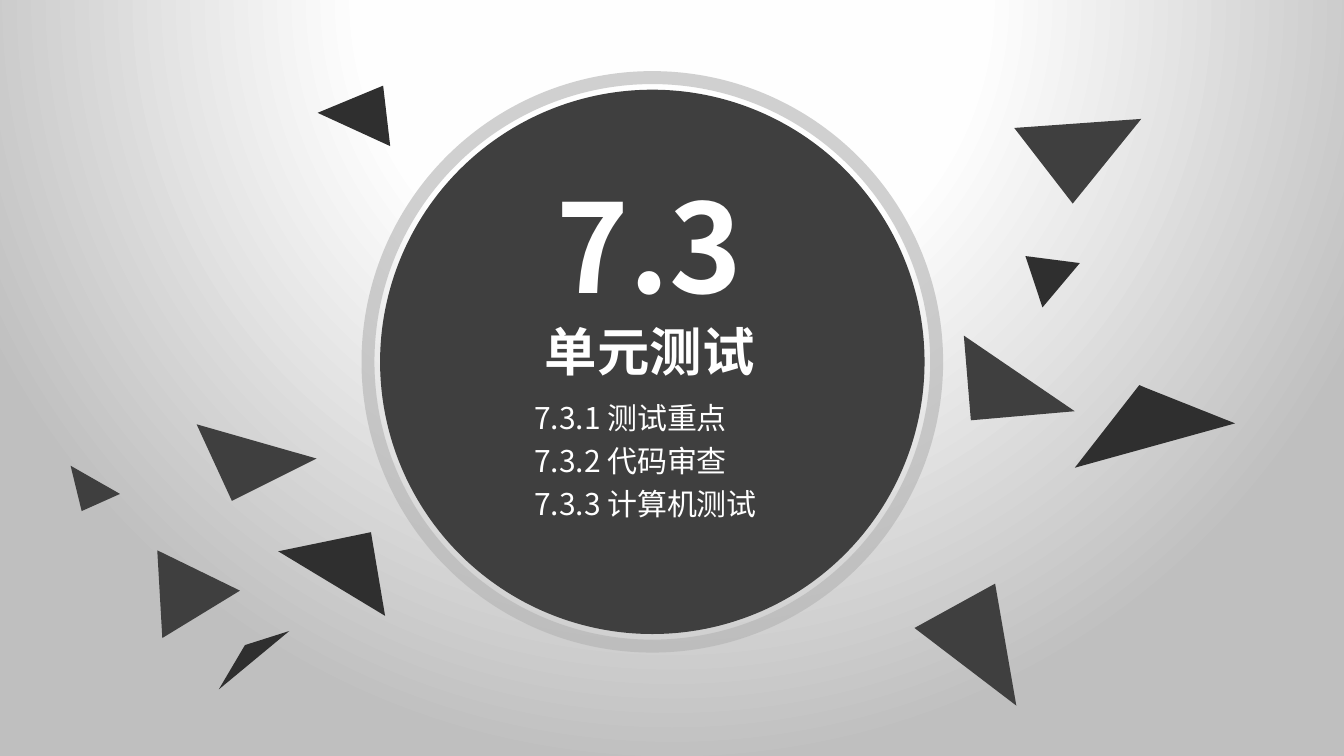
from lxml.etree import SubElement
from pptx import Presentation
from pptx.dml.color import RGBColor
from pptx.enum.shapes import MSO_SHAPE as SHAPE
from pptx.enum.text import MSO_ANCHOR as ANCHOR, MSO_AUTO_SIZE as AUTO, PP_ALIGN as ALIGN
from pptx.oxml import parse_xml
from pptx.oxml.ns import nsdecls, qn
from pptx.util import Inches, Pt

FONT = "Noto Sans CJK SC"
DARK, BLACK, WHITE, RING = "3F3F3F", "2F2F2F", "FFFFFF", "B2B2B2"
STOPS = [(0, "FFFFFF"), (40, "FEFEFE"), (100, "BFBFBF")]

LEFT_SHARDS = [
    (DARK, [(1.25, 3.36), (2.44, 3.7), (1.6, 4.12)]),
    (BLACK, [(3.12, 5.26), (2.06, 4.62), (2.98, 4.43)]),
    (DARK, [(0.86, 4.61), (1.68, 5.01), (0.91, 5.48)]),
    (DARK, [(0, 3.77), (0.11, 4.22), (0.49, 4.05)]),
    (BLACK, [(1.73, 5.55), (1.47, 5.99), (2.17, 5.41)]),
    (BLACK, [(3.1, 0), (3.17, 0.6), (2.45, 0.27)]),
]
RIGHT_SHARDS = [
    (DARK, [(0.99, 0.09), (2.25, 0), (1.57, 0.84)]),
    (BLACK, [(1.1, 1.36), (1.64, 1.43), (1.27, 1.87)]),
    (DARK, [(0.49, 2.15), (0.56, 2.99), (1.59, 2.9)]),
    (BLACK, [(2.23, 2.64), (1.59, 3.46), (3.18, 3.02), (2.3, 2.67)]),
    (DARK, [(0, 5.05), (0.8, 4.61), (1.01, 5.82)]),
]


def rgb(value):
    return RGBColor.from_string(value)


def paint(sp, color):
    sp.shadow.inherit = False
    sp.fill.solid()
    sp.fill.fore_color.rgb = rgb(color)
    sp.line.fill.background()


def add_backdrop(s):
    s.background.fill.solid()
    solid = s.element.find(".//" + qn("p:bgPr")).find(qn("a:solidFill"))
    stops = "".join(
        f'<a:gs pos="{pos * 1000}"><a:srgbClr val="{color}"/></a:gs>' for pos, color in STOPS
    )
    grad = parse_xml(
        f'<a:gradFill {nsdecls("a")} rotWithShape="1"><a:gsLst>{stops}</a:gsLst>'
        '<a:path path="circle"><a:fillToRect l="50000" t="-80000" r="50000" b="180000"/>'
        "</a:path></a:gradFill>"
    )
    solid.getparent().replace(solid, grad)


def add_circle(s, x, y, size):
    return s.shapes.add_shape(SHAPE.OVAL, Inches(x), Inches(y), Inches(size), Inches(size))


def add_badge(s, x, y, size):
    gap = 0.12
    paint(add_circle(s, x + gap, y + gap, size - 2 * gap), DARK)
    ring = add_circle(s, x, y, size)
    ring.shadow.inherit = False
    ring.fill.background()
    ring.line.width = Pt(9.25)
    ring.line.color.rgb = rgb(RING)
    clr = ring.line._ln.find(".//" + qn("a:srgbClr"))
    SubElement(clr, qn("a:alpha")).set("val", "60000")


def add_shards(s, x, y, shards):
    for color, points in shards:
        first, *rest = [(Inches(x + dx), Inches(y + dy)) for dx, dy in points]
        builder = s.shapes.build_freeform(*first)
        builder.add_line_segments(rest, close=True)
        paint(builder.convert_to_shape(), color)


def write(sp, lines, size, bold=False, align=ALIGN.LEFT, spacing=1.2, wrap=True):
    tf = sp.text_frame
    tf.text = "\n".join(lines)
    tf.word_wrap = wrap
    tf.auto_size = AUTO.SHAPE_TO_FIT_TEXT
    tf.vertical_anchor = ANCHOR.TOP
    for p in tf.paragraphs:
        p.alignment = align
        p.line_spacing = spacing
        p.font.size = Pt(size)
        p.font.bold = bold
        p.font.name = FONT
        p.font.color.rgb = rgb(WHITE)
        SubElement(p._p.pPr.find(qn("a:defRPr")), qn("a:ea")).set("typeface", FONT)


def add_heading(s, x, y):
    title = s.shapes.title
    title.left, title.top = Inches(x + 0.13), Inches(y + 2.22)
    title.width, title.height = Inches(5.33), Inches(0.85)
    title.element.getparent().append(title.element)
    write(title, ["单元测试"], 37.4, bold=True, align=ALIGN.CENTER)

    number = s.shapes.add_textbox(Inches(x + 1.76), Inches(y + 0.87), Inches(2.06), Inches(1.58))
    write(number, ["7.3"], 88, bold=True, align=ALIGN.CENTER, spacing=1.0, wrap=False)

    topics = s.shapes.add_textbox(Inches(x + 1.55), Inches(y + 3.07), Inches(2.47), Inches(1.4))
    write(topics, ["7.3.1 测试重点", "7.3.2 代码审查", "7.3.3 计算机测试"], 21.4)


def main():
    prs = Presentation()
    prs.slide_width, prs.slide_height = Inches(13.33), Inches(7.5)
    s = prs.slides.add_slide(prs.slide_layouts[5])
    add_backdrop(s)
    add_badge(s, 3.65, 0.77, 5.64)
    add_shards(s, 0.7, 0.85, LEFT_SHARDS)
    add_shards(s, 9.07, 1.18, RIGHT_SHARDS)
    add_heading(s, 3.65, 0.77)
    prs.save("out.pptx")


if __name__ == "__main__":
    main()
